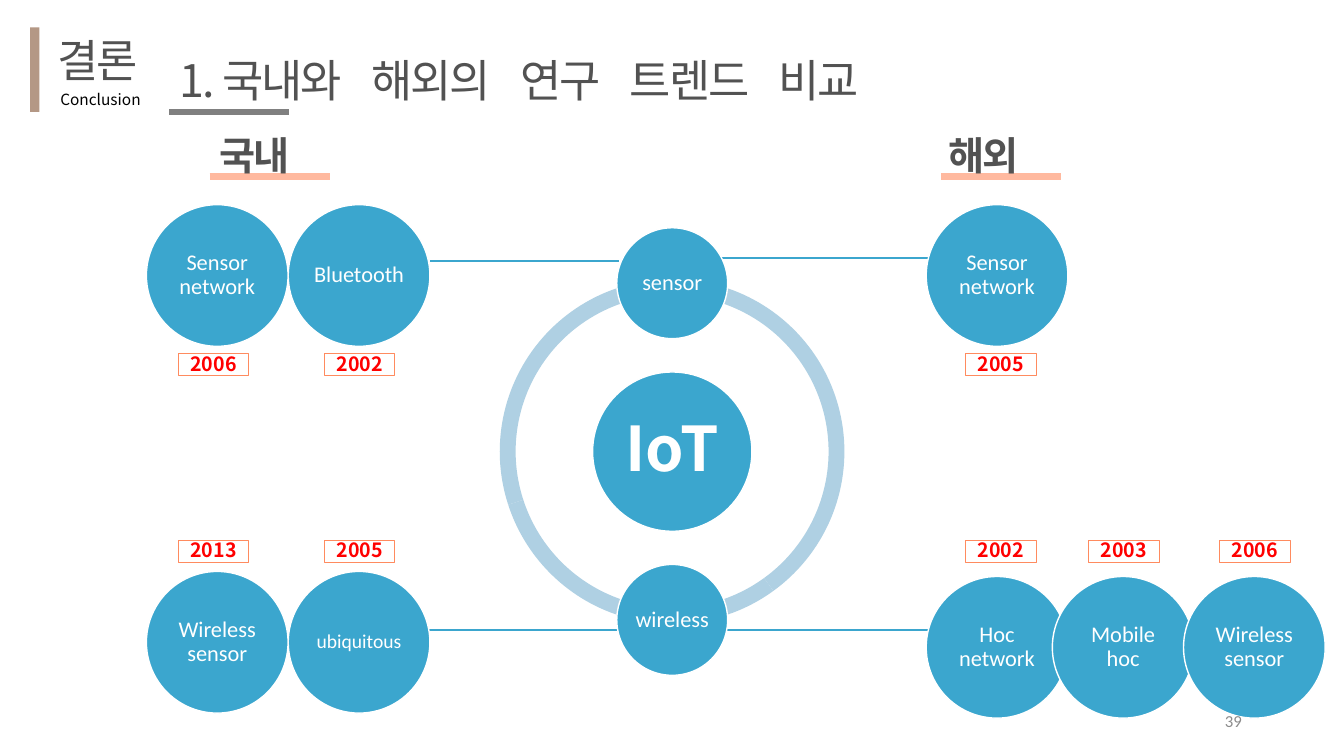
from lxml import etree
from pptx import Presentation
from pptx.dml.color import RGBColor
from pptx.enum.shapes import MSO_CONNECTOR, MSO_SHAPE as SHAPE
from pptx.enum.text import MSO_ANCHOR as ANCHOR, PP_ALIGN as ALIGN
from pptx.oxml.ns import qn
from pptx.util import Pt

COLOURS = {name: RGBColor.from_string(value) for name, value in {
    "heading": "525252", "black": "000000", "white": "FFFFFF", "red": "FF0000",
    "blue": "3BA6CE", "ring": "AFD0E3", "brown": "B49885", "grey": "808080",
    "number": "8C8C8C", "orange": "FF8B5F", "peach": "FFB99F",
}.items()}
KOREAN = "Noto Sans CJK KR"
LATIN = "Calibri"
TIGHT, WIDE = -150, 1370  # letter spacing in hundredths of a point


def write(box, pieces, size, colour, font=KOREAN, bold=False, align=ALIGN.LEFT,
          anchor=ANCHOR.TOP, inset=None, spacing=None):
    """Fill a shape with one paragraph of (text, letter spacing) pieces and return it."""
    frame = box.text_frame
    frame.word_wrap = True
    frame.vertical_anchor = anchor
    if inset is not None:
        frame.margin_left = frame.margin_right = Pt(inset)
        frame.margin_top = frame.margin_bottom = Pt(inset)
    para = frame.paragraphs[0]
    para.alignment = align
    para.line_spacing = spacing
    for text, tracking in pieces:
        span = para.add_run()
        span.text = text
        span.font.size = Pt(size)
        span.font.bold = bold
        span.font.name = font
        span.font.color.rgb = COLOURS[colour]
        span.font._element.set("spc", str(tracking))
        etree.SubElement(span.font._element, qn("a:ea")).set("typeface", KOREAN)
    return para


def add_line(x1, x2, y, colour, width):
    line = page.shapes.add_connector(MSO_CONNECTOR.STRAIGHT, Pt(x1), Pt(y), Pt(x2), Pt(y))
    line.line.color.rgb = COLOURS[colour]
    line.line.width = Pt(width)
    etree.SubElement(line._element.spPr, qn("a:effectLst"))


deck = Presentation()
deck.slide_width, deck.slide_height = Pt(960), Pt(540)
page = deck.slides.add_slide(deck.slide_layouts[5])

# Header
bar = page.shapes.add_shape(SHAPE.RECTANGLE, Pt(21.6), Pt(19.5), Pt(6.5), Pt(60.5))
bar.shadow.inherit = False
bar.fill.solid()
bar.fill.fore_color.rgb = COLOURS["brown"]
bar.line.fill.background()

title = page.shapes.title
title.left, title.top, title.width, title.height = Pt(121), Pt(33.8), Pt(540), Pt(46)
title_pieces = [("1. 국내와", TIGHT)]
for word in ("해외의", "연구", "트렌드", "비교"):
    title_pieces += [(" ", WIDE), (word, TIGHT)]
write(title, title_pieces, 32, "heading").space_after = Pt(6)
add_line(121, 206.6, 80, "grey", 4.5)

subtitle = page.shapes.add_textbox(Pt(36), Pt(60.5), Pt(133), Pt(21))
write(subtitle, [("Conclusion", 0)], 11, "black")

# Section name and column headings
for left in (149.8, 672.2):
    add_line(left, left + 85.6, 126, "peach", 4.5)
for text, left, top, width, height, size, font, bold in [
    ("결론", 33.8, 19.5, 86, 46, 32, KOREAN, False),
    ("국내", 149.8, 90, 86, 41, 28, LATIN, True),
    ("해외", 670.3, 90, 86, 41, 28, LATIN, True),
]:
    box = page.shapes.add_textbox(Pt(left), Pt(top), Pt(width), Pt(height))
    write(box, [(text, TIGHT)], size, "heading", font, bold)

# Ring, made of two arcs given by their end angles
for start, end in [(54, 162), (162, 54)]:
    arc = page.shapes.add_shape(SHAPE.BLOCK_ARC, Pt(357), Pt(199.4), Pt(246.2), Pt(246.2))
    arc.adjustments[0] = start * 0.6
    arc.adjustments[1] = end * 0.6
    arc.adjustments[2] = 0.046
    arc.shadow.inherit = False
    arc.fill.solid()
    arc.fill.fore_color.rgb = COLOURS["ring"]
    arc.line.fill.background()

for x1, x2, y in [(442, 307.4, 186.5), (512.6, 664.6, 184.3),
                  (442, 292.3, 450), (517.7, 674.6, 450)]:
    add_line(x1, x2, y, "blue", 2)

# Circles: text, left, top, diameter, text size
HUB, NODE = 79.2, 101.2
for text, left, top, diameter, size in [
    ("IoT", 423.3, 265.7, 113.8, 44),
    ("sensor", 440.6, 162.7, HUB, 16),
    ("wireless", 440.6, 403.2, HUB, 16),
    ("Bluetooth", 205.9, 146.2, NODE, 16),
    ("Sensor network", 104.6, 146.2, NODE, 16),
    ("Sensor network", 661.6, 146.2, NODE, 16),
    ("ubiquitous", 205.9, 408.2, NODE, 14),
    ("Wireless sensor", 104.6, 408.2, NODE, 16),
    ("Hoc network", 661.6, 411.8, NODE, 16),
    ("Mobile hoc", 751.7, 411.8, NODE, 16),
    ("Wireless sensor", 845.4, 411.8, NODE, 16),
]:
    circle = page.shapes.add_shape(SHAPE.OVAL, Pt(left), Pt(top), Pt(diameter), Pt(diameter))
    circle.shadow.inherit = False
    circle.fill.solid()
    circle.fill.fore_color.rgb = COLOURS["blue"]
    circle.line.color.rgb = COLOURS["white"]
    circle.line.width = Pt(1)
    central = text == "IoT"
    write(circle, [(text, 0)], size, "white", KOREAN if central else LATIN, central,
          ALIGN.CENTER, ANCHOR.MIDDLE, 4.3 if central else 1.4, spacing=0.9)

# Year labels, one row above and one below
for top, years in [
    (252.7, [("2006", 127.4), ("2002", 231.8), ("2005", 689.8)]),
    (385.9, [("2013", 127.4), ("2005", 231.8), ("2002", 689.8),
             ("2003", 777.6), ("2006", 871.2)]),
]:
    for year, left in years:
        label = page.shapes.add_shape(SHAPE.RECTANGLE, Pt(left), Pt(top), Pt(50.4), Pt(15.8))
        label.shadow.inherit = False
        label.fill.background()
        label.line.color.rgb = COLOURS["orange"]
        label.line.width = Pt(0.75)
        write(label, [(year, 0)], 14, "red", KOREAN, True, ALIGN.CENTER, ANCHOR.MIDDLE,
              2.9, spacing=0.9)

number = page.shapes.add_textbox(Pt(678.2), Pt(500.4), Pt(216), Pt(28.8))
write(number, [("39", 0)], 12, "number", LATIN, align=ALIGN.RIGHT, anchor=ANCHOR.MIDDLE)

deck.save("out.pptx")
